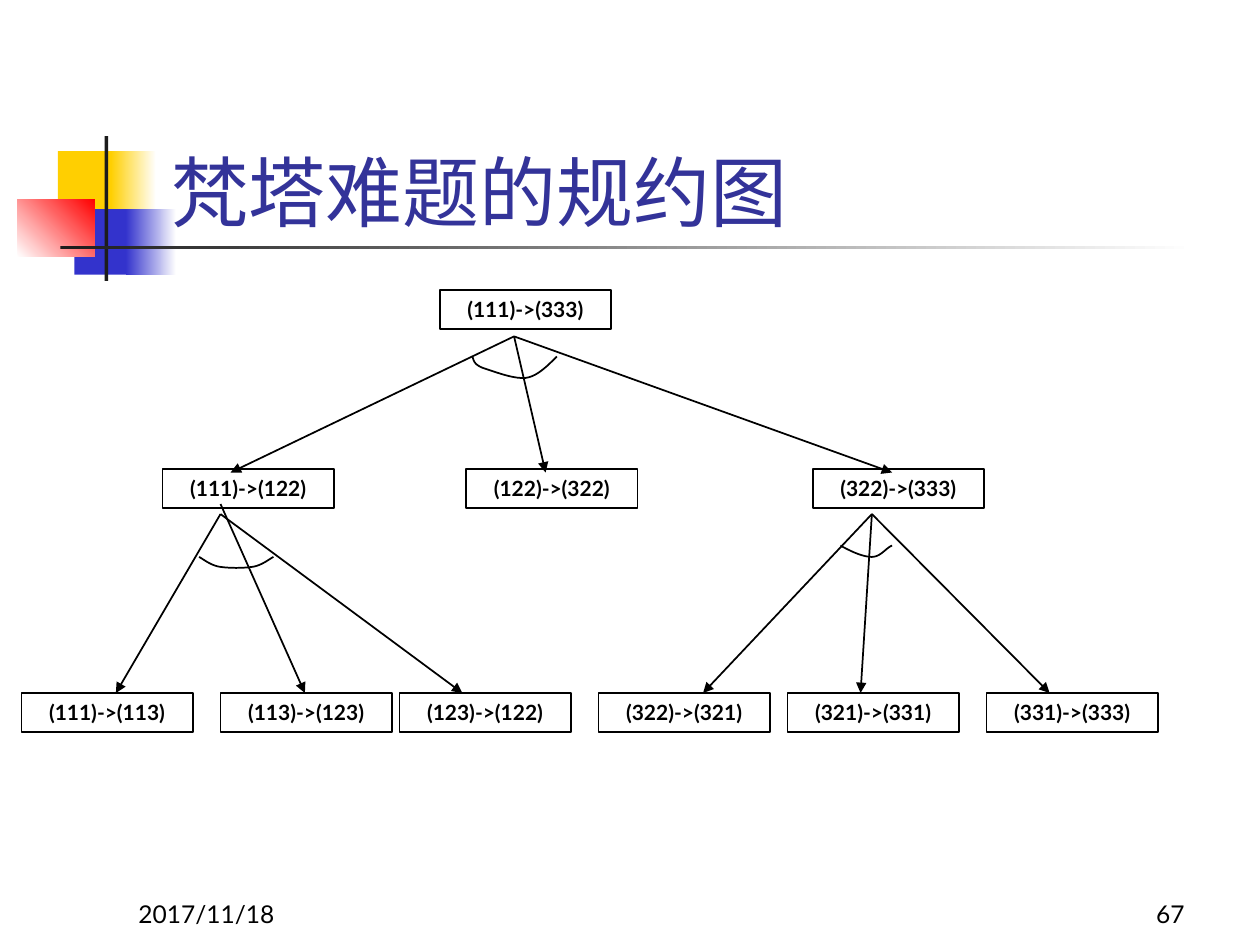
from lxml import etree
from pptx import Presentation
from pptx.dml.color import RGBColor
from pptx.enum.shapes import MSO_CONNECTOR, MSO_SHAPE
from pptx.enum.text import MSO_ANCHOR, MSO_AUTO_SIZE, PP_ALIGN
from pptx.oxml.ns import qn
from pptx.util import Inches, Pt

BLACK = RGBColor(0x00, 0x00, 0x00)
WHITE = RGBColor(0xFF, 0xFF, 0xFF)
CHARCOAL = RGBColor(0x1C, 0x1C, 0x1C)
YELLOW = RGBColor(0xFF, 0xCF, 0x01)
BLUE = RGBColor(0x33, 0x33, 0xCC)
RED = RGBColor(0xFF, 0x00, 0x00)
TITLE_BLUE = RGBColor(0x33, 0x33, 0x99)
FONT = "Lato"
NODE_W, NODE_H = 1.36, 0.31


def add_rect(s, x, y, w, h):
    sp = s.shapes.add_shape(MSO_SHAPE.RECTANGLE, Inches(x), Inches(y), Inches(w), Inches(h))
    sp.shadow.inherit = False
    return sp


def write_text(sp, text, align, anchor, **font):
    tf = sp.text_frame
    tf.vertical_anchor = anchor
    p = tf.paragraphs[0]
    p.alignment = align
    r = p.add_run()
    r.text = text
    color = font.pop("color", BLACK)
    for name, value in {"name": FONT, **font}.items():
        setattr(r.font, name, value)
    r.font.color.rgb = color


def add_label(s, box, text, align=PP_ALIGN.LEFT, **font):
    sp = s.shapes.add_textbox(*(Inches(v) for v in box))
    sp.text_frame.word_wrap = True
    write_text(sp, text, align, MSO_ANCHOR.BOTTOM, **font)


def add_decoration(s, box):
    left, top = box[:2]
    # x, y, width, height, colours from start to end, angle
    parts = [
        (0.32, 0.12, 0.48, 0.52, [YELLOW], 0),
        (0.74, 0.12, 0.36, 0.52, [YELLOW, WHITE], 0),
        (0.45, 0.58, 0.46, 0.52, [BLUE], 0),
        (0.86, 0.58, 0.4, 0.52, [BLUE, WHITE], 0),
        (0, 0.5, 0.61, 0.46, [WHITE, RED], 45),
        (0.69, 0, 0.03, 1.15, [CHARCOAL], 0),
        (0.34, 0.87, 9, 0.03, [CHARCOAL, WHITE], 0),
    ]
    for x, y, w, h, colors, angle in parts:
        sp = add_rect(s, left + x, top + y, w, h)
        sp.line.fill.background()
        if len(colors) == 1:
            sp.fill.solid()
            sp.fill.fore_color.rgb = colors[0]
        else:
            sp.fill.gradient()
            sp.fill.gradient_angle = angle
            for stop, color in zip(sp.fill.gradient_stops, colors):
                stop.color.rgb = color


def outline(sp):
    sp.line.color.rgb = BLACK
    sp.line.width = Pt(1)


def add_node(s, x, y, text):
    sp = add_rect(s, x, y, NODE_W, NODE_H)
    sp.fill.background()
    outline(sp)
    sp.text_frame.word_wrap = False
    sp.text_frame.auto_size = MSO_AUTO_SIZE.SHAPE_TO_FIT_TEXT
    write_text(sp, text, PP_ALIGN.CENTER, MSO_ANCHOR.MIDDLE, size=Pt(12), bold=True)


def add_arrow(s, x1, y1, x2, y2):
    c = s.shapes.add_connector(MSO_CONNECTOR.STRAIGHT, *(Inches(v) for v in (x1, y1, x2, y2)))
    outline(c)
    etree.SubElement(c.line._get_or_add_ln(), qn("a:tailEnd"), type="triangle")
    etree.SubElement(c._element.spPr, qn("a:effectLst"))


def bezier(p0, p1, p2, p3, steps=10):
    for i in range(1, steps + 1):
        t = i / steps
        u = 1 - t
        yield tuple(u**3 * a + 3 * u * u * t * b + 3 * u * t * t * c + t**3 * d
                    for a, b, c, d in zip(p0, p1, p2, p3))


def add_arc(s, left, top, points):
    """Draw a chain of cubic curves: a start point, then three points per curve."""
    points = [(left + x, top + y) for x, y in points]
    curve = [points[0]]
    for i in range(0, len(points) - 1, 3):
        curve.extend(bezier(*points[i:i + 4]))
    emu = [(Inches(x), Inches(y)) for x, y in curve]
    builder = s.shapes.build_freeform(*emu[0])
    builder.add_line_segments(emu[1:], close=False)
    sp = builder.convert_to_shape()
    sp.shadow.inherit = False
    sp.fill.background()
    outline(sp)


def add_tree(s, box):
    left, top = box[:2]
    # Nodes, level by level
    levels = [
        (0, [(3.32, "(111)->(333)")]),
        (1.42, [(1.12, "(111)->(122)"), (3.53, "(122)->(322)"), (6.28, "(322)->(333)")]),
        (3.2, [(0, "(111)->(113)"), (1.58, "(113)->(123)"), (3, "(123)->(122)"),
               (4.58, "(322)->(321)"), (6.08, "(321)->(331)"), (7.66, "(331)->(333)")]),
    ]
    for y, nodes in levels:
        for x, text in nodes:
            add_node(s, left + x, top + y, text)

    # Arrows: start x, start y of each arrow, end y, end x of each arrow
    fans = [
        (1.58, (1.78, 1.7, 1.78), 3.2, (0.75, 2.25, 3.5)),
        (6.75, (1.78, 1.78, 1.78), 3.2, (5.41, 6.66, 8.16)),
        (3.91, (0.37, 0.37, 0.37), 1.45, (1.66, 4.16, 6.91)),
    ]
    for x1, starts, y2, ends in fans:
        for y1, x2 in zip(starts, ends):
            add_arrow(s, left + x1, top + y1, left + x2, top + y2)

    # Arcs joining the arrows of each AND branch
    arcs = [
        [(3.58, 0.53), (3.59, 0.56), (3.59, 0.59), (3.66, 0.62), (3.73, 0.64),
         (3.9, 0.71), (4, 0.7), (4.09, 0.69), (4.17, 0.61), (4.25, 0.53)],
        [(1.41, 2.12), (1.46, 2.15), (1.51, 2.19), (1.58, 2.2), (1.65, 2.21),
         (1.76, 2.21), (1.83, 2.2), (1.9, 2.19), (1.95, 2.15), (2, 2.12)],
        [(6.5, 2.03), (6.59, 2.08), (6.68, 2.12), (6.75, 2.12), (6.82, 2.12),
         (6.86, 2.05), (6.91, 2.03)],
    ]
    for points in arcs:
        add_arc(s, left, top, points)


def add_footer(s, box):
    left, top, width, height = box
    w = 2.08
    add_label(s, (left, top, w, height), "2017/11/18", size=Pt(14))
    add_label(s, (left + width - w, top, w, height), "67", PP_ALIGN.RIGHT, size=Pt(14))


def main():
    prs = Presentation()
    prs.slide_width, prs.slide_height = Inches(10), Inches(7.5)
    s = prs.slides.add_slide(prs.slide_layouts[6])
    add_decoration(s, (0.14, 1.08, 9.34, 1.15))
    add_footer(s, (1, 6.92, 8.5, 0.5))
    add_label(s, (1.26, 0.68, 8.52, 1.25), "梵塔难题的规约图", size=Pt(44), color=TITLE_BLUE)
    add_tree(s, (0.17, 2.3, 9.02, 3.51))
    prs.save("out.pptx")


if __name__ == "__main__":
    main()
